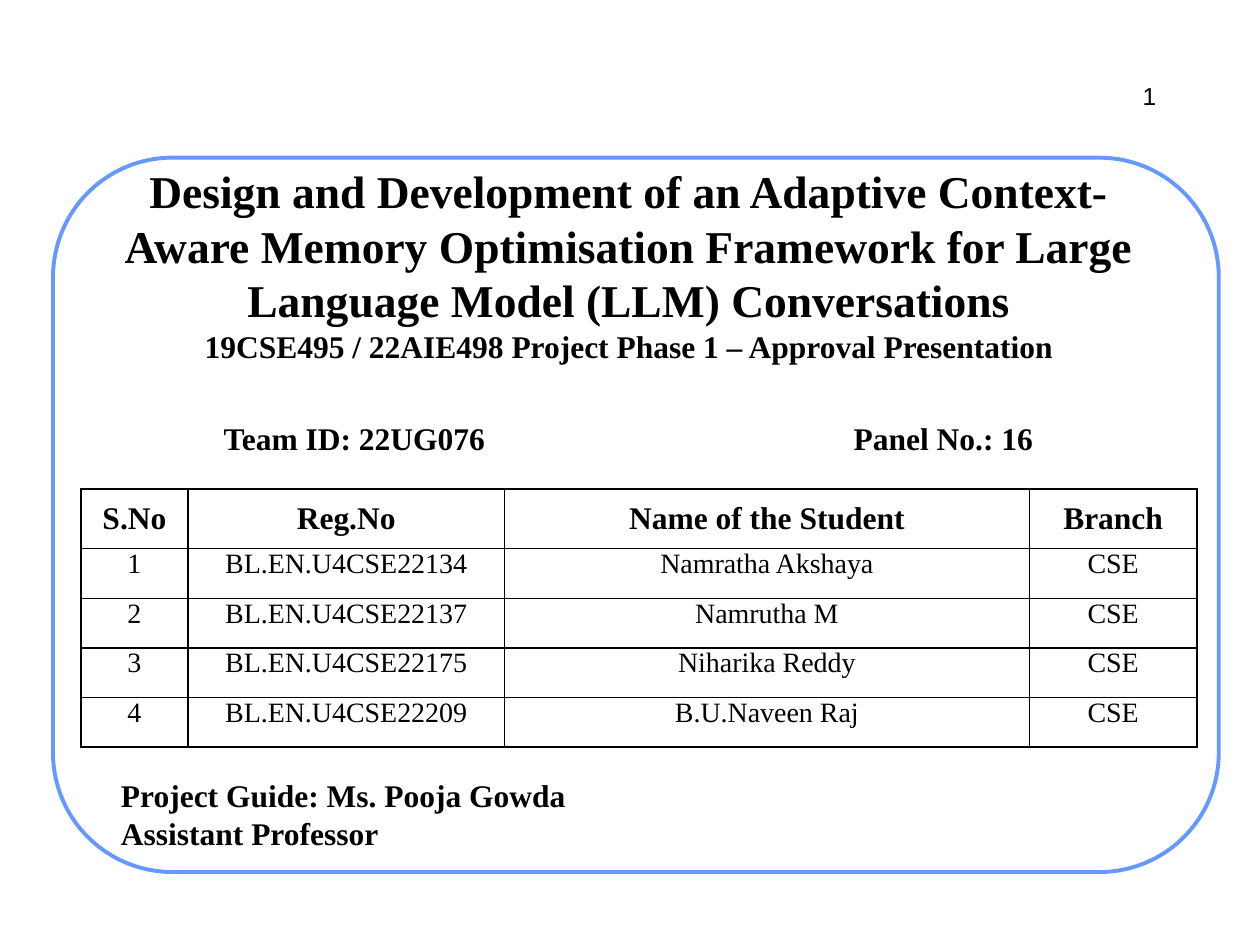
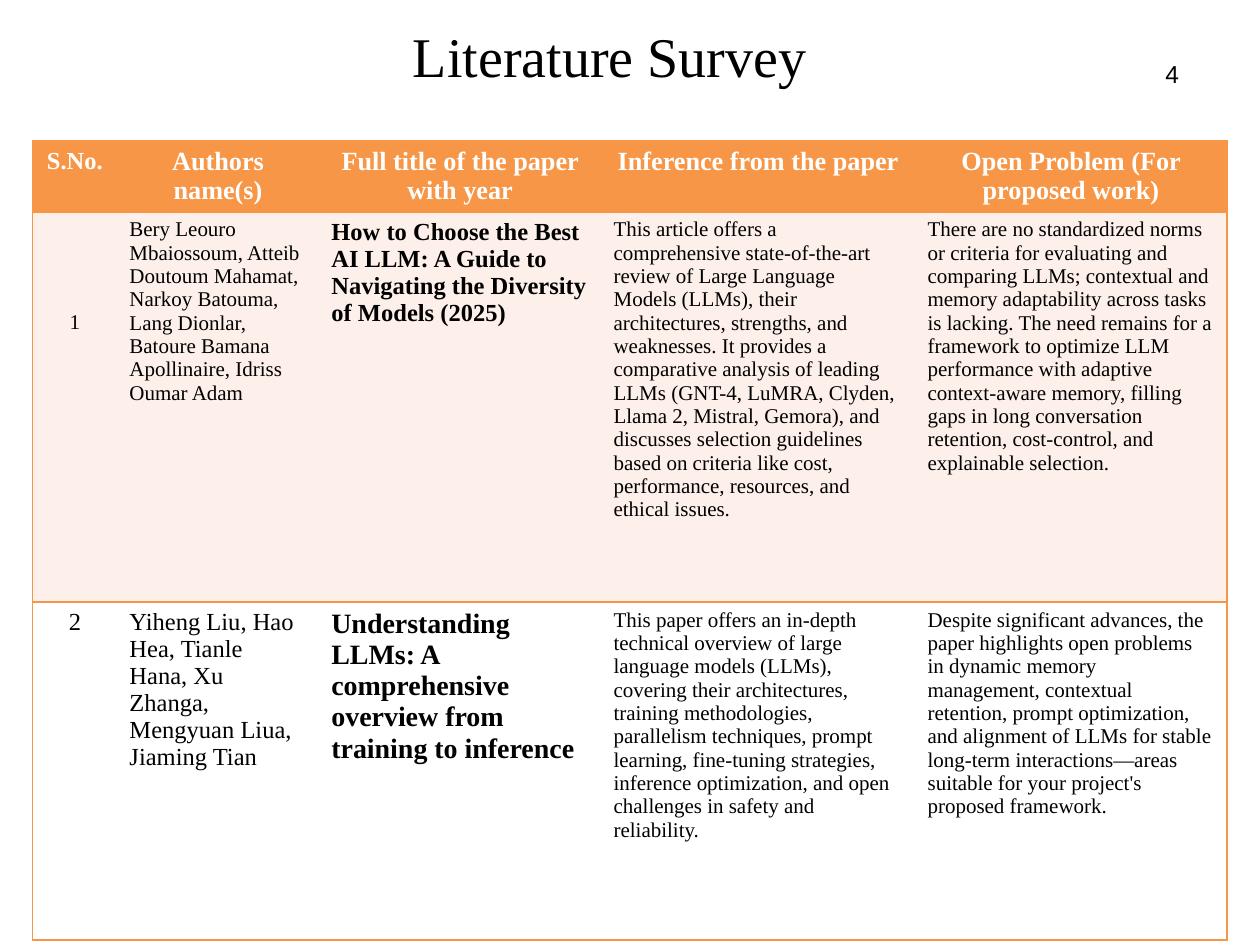
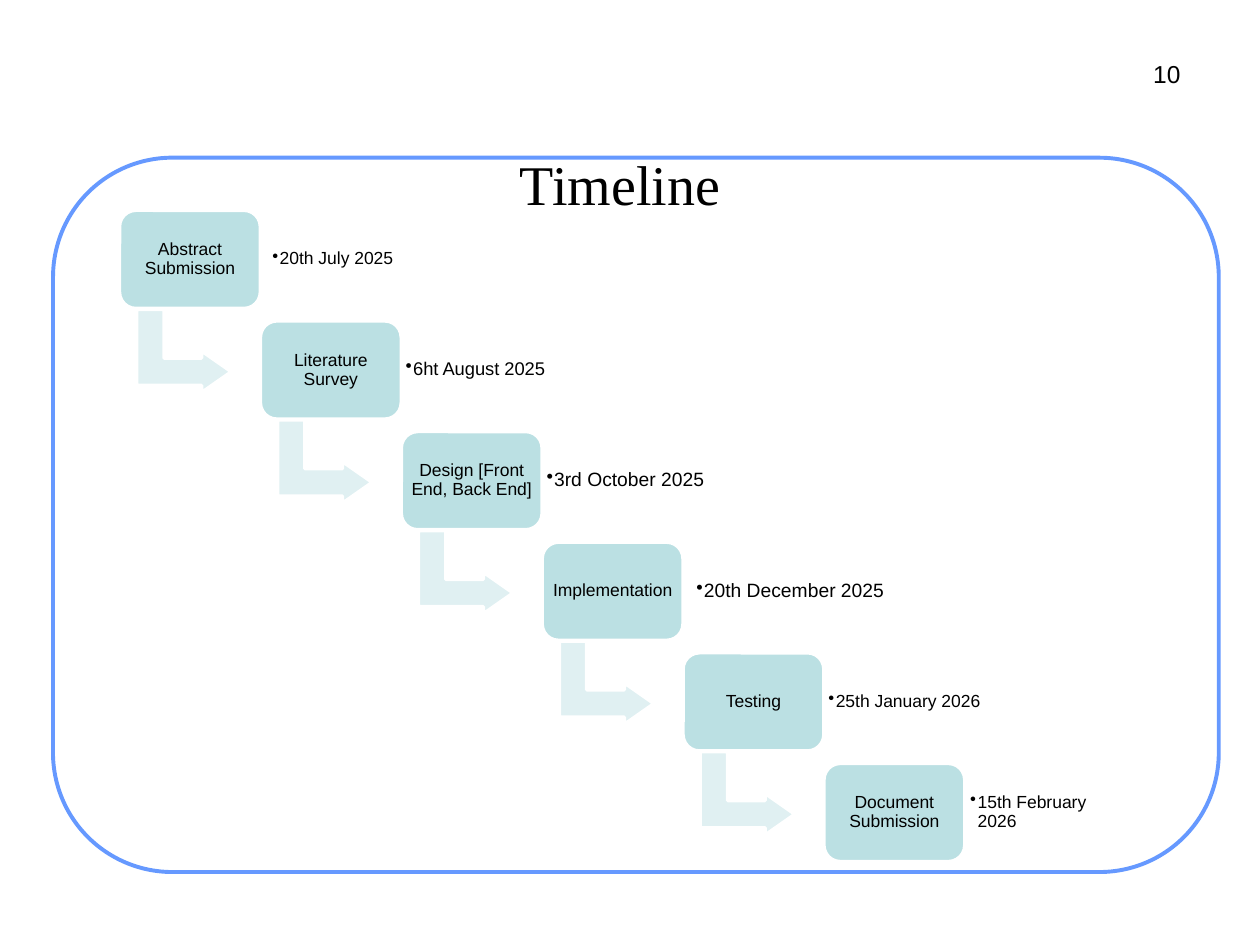
from dataclasses import dataclass

from lxml import etree
from pptx import Presentation
from pptx.dml.color import RGBColor
from pptx.enum.shapes import MSO_SHAPE
from pptx.enum.text import MSO_ANCHOR, MSO_AUTO_SIZE, PP_ALIGN
from pptx.oxml.ns import qn
from pptx.util import Cm, Pt

ROUNDED, BENT_ARROW = MSO_SHAPE.ROUNDED_RECTANGLE, MSO_SHAPE.BENT_UP_ARROW
TOP, MIDDLE = MSO_ANCHOR.TOP, MSO_ANCHOR.MIDDLE
LEFT, CENTER, RIGHT = PP_ALIGN.LEFT, PP_ALIGN.CENTER, PP_ALIGN.RIGHT
NO_AUTOFIT = MSO_AUTO_SIZE.NONE

SERIF, SANS = "Times New Roman", "Arial"
BLACK, WHITE, FRAME_BLUE = "000000", "FFFFFF", "6699FF"
ORANGE, PALE_ORANGE = "F79646", "FDEFE9"
TEAL, PALE_TEAL = "BBE0E3", "E0F0F2"
INSET = 0.13
TITLE_ONLY = 5


@dataclass(frozen=True)
class Box:
    left: float
    top: float
    width: float
    height: float

    def lengths(self) -> list:
        return [Cm(value) for value in (self.left, self.top, self.width, self.height)]


@dataclass(frozen=True)
class Line:
    text: str
    size: float
    bold: bool = False
    font: str = SERIF
    color: str = BLACK
    align: PP_ALIGN = LEFT
    before: float = 0
    spacing: float = 1.0
    bullet: float = 0
    tabs: tuple = ()


@dataclass(frozen=True)
class CellLook:
    fill: str
    border: str
    sides: str
    margins: tuple
    anchor: MSO_ANCHOR = TOP


@dataclass(frozen=True)
class Step:
    label: str
    date: str
    size: float
    offset: float
    width: float


def rgb(value: str) -> RGBColor:
    return RGBColor.from_string(value)


def apply(target, values: dict) -> None:
    for name, value in values.items():
        setattr(target, name, value)


# Text
def write(frame, lines: list, anchor=TOP, inset: float | None = INSET) -> None:
    if inset is not None:
        apply(frame, dict.fromkeys(
            ("margin_left", "margin_top", "margin_right", "margin_bottom"), Cm(inset)))
        apply(frame, {"word_wrap": True, "auto_size": NO_AUTOFIT, "vertical_anchor": anchor})
    for index, line in enumerate(lines):
        paragraph = frame.add_paragraph() if index else frame.paragraphs[0]
        properties = paragraph._p.get_or_add_pPr()
        if line.bullet:
            properties.set("marL", str(Cm(line.bullet)))
            properties.set("indent", str(-Cm(line.bullet)))
            etree.SubElement(properties, qn("a:buChar")).set("char", "•")
        if line.tabs:
            tab_list = etree.SubElement(properties, qn("a:tabLst"))
            for position in line.tabs:
                tab = etree.SubElement(tab_list, qn("a:tab"))
                tab.set("pos", str(Cm(position)))
                tab.set("algn", "l")
        apply(paragraph, {"alignment": line.align, "line_spacing": line.spacing,
                          "space_before": Pt(line.before)})
        run = paragraph.add_run()
        run.text = line.text
        apply(run.font, {"name": line.font, "size": Pt(line.size), "bold": line.bold})
        run.font.color.rgb = rgb(line.color)


def add_text(slide, box: Box, lines: list, anchor=TOP, inset: float = INSET) -> None:
    write(slide.shapes.add_textbox(*box.lengths()).text_frame, lines, anchor, inset)


# Shapes
def add_shape(slide, kind, box: Box, fill: str, line: str, weight: float,
              adjustments: tuple = (0.167,)):
    shape = slide.shapes.add_shape(kind, *box.lengths())
    shape.shadow.inherit = False
    shape.fill.solid()
    shape.fill.fore_color.rgb = rgb(fill)
    shape.line.color.rgb = rgb(line)
    shape.line.width = Pt(weight)
    for index, value in enumerate(adjustments):
        shape.adjustments[index] = value
    return shape


# Parts shared by the slides
def start_slide(presentation, title_box: Box, title_lines: list, number: str,
                number_box: Box, framed: bool = True):
    slide = presentation.slides.add_slide(presentation.slide_layouts[TITLE_ONLY])
    title = slide.shapes.title
    apply(title, dict(zip(("left", "top", "width", "height"), title_box.lengths())))
    write(title.text_frame, title_lines, MIDDLE)
    if framed:
        frame = add_shape(slide, ROUNDED, Box(1.07, 3.18, 23.5, 14.4), WHITE, FRAME_BLUE, 2.25)
        title.element.addprevious(frame.element)
    add_text(slide, number_box, [Line(number, 14, font=SANS, align=RIGHT)])
    return slide


# Tables
def add_table(slide, box: Box, widths: list, heights: list):
    table = slide.shapes.add_table(len(heights), len(widths), *box.lengths()).table
    apply(table, {"first_row": False, "horz_banding": False})
    for column, width in zip(table.columns, widths):
        column.width = Cm(width)
    for row, height in zip(table.rows, heights):
        row.height = Cm(height)
    return table


def fill_cell(cell, line: Line, look: CellLook) -> None:
    names = ("margin_left", "margin_top", "margin_right", "margin_bottom")
    apply(cell, dict(zip(names, map(Cm, look.margins))))
    cell.vertical_anchor = look.anchor
    if look.fill:
        cell.fill.solid()
        cell.fill.fore_color.rgb = rgb(look.fill)
    else:
        cell.fill.background()
    properties = cell._tc.get_or_add_tcPr()
    for index, side in enumerate("LRTB"):
        border = etree.Element(qn(f"a:ln{side}"), w=str(Pt(1)))
        if side in look.sides:
            paint = etree.SubElement(border, qn("a:solidFill"))
            etree.SubElement(paint, qn("a:srgbClr")).set("val", look.border)
        else:
            etree.SubElement(border, qn("a:noFill"))
        properties.insert(index, border)
    write(cell.text_frame, [line], inset=None)


# Slide 1: project and team
STUDENTS = [
    ("S.No", "Reg.No", "Name of the Student", "Branch"),
    ("1", "BL.EN.U4CSE22134", "Namratha Akshaya", "CSE"),
    ("2", "BL.EN.U4CSE22137", "Namrutha M", "CSE"),
    ("3", "BL.EN.U4CSE22175", "Niharika Reddy", "CSE"),
    ("4", "BL.EN.U4CSE22209", "B.U.Naveen Raj", "CSE"),
]


def build_project(presentation) -> None:
    title = [
        Line("Design and Development of an Adaptive Context-Aware Memory Optimisation "
             "Framework for Large Language Model (LLM) Conversations", 26, True, align=CENTER),
        Line("19CSE495 / 22AIE498 Project Phase 1 – Approval Presentation", 18, True,
             align=CENTER),
        Line("\tTeam ID: 22UG076\tPanel No.: 16", 18, True, before=31, tabs=(2.4, 15.1)),
    ]
    slide = start_slide(presentation, Box(1.98, 3.6, 21.4, 5.3), title,
                        "1", Box(22.54, 1.5, 0.9, 1.22))
    table = add_table(slide, Box(1.63, 9.86, 22.5, 5.2),
                      [2.16, 6.38, 10.58, 3.38], [1.2] + [1.0] * 4)
    for row, values in enumerate(STUDENTS):
        header = row == 0
        look = CellLook("", BLACK, "LRTB", (0, 0, 0, 0), MIDDLE if header else TOP)
        for column, text in enumerate(values):
            fill_cell(table.cell(row, column),
                      Line(text, 18 if header else 16, header, align=CENTER), look)
    add_text(slide, Box(2.31, 15.52, 13.39, 1.8),
             [Line(text, 18, True)
              for text in ("Project Guide: Ms. Pooja Gowda", "Assistant Professor")])


# Slide 2: literature survey
PAPERS = [
    ("S.No.", "Authors name(s)", "Full title of the paper with year",
     "Inference from the paper", "Open Problem (For proposed work)"),
    ("1",
     "Bery Leouro Mbaiossoum, Atteib Doutoum Mahamat, Narkoy Batouma, Lang Dionlar, "
     "Batoure Bamana Apollinaire, Idriss Oumar Adam",
     "How to Choose the Best AI LLM: A Guide to Navigating the Diversity of Models (2025)",
     "This article offers a comprehensive state-of-the-art review of Large Language Models "
     "(LLMs), their architectures, strengths, and weaknesses. It provides a comparative "
     "analysis of leading LLMs (GNT-4, LuMRA, Clyden, Llama 2, Mistral, Gemora), and discusses "
     "selection guidelines based on criteria like cost, performance, resources, and ethical "
     "issues.",
     "There are no standardized norms or criteria for evaluating and comparing LLMs; "
     "contextual and memory adaptability across tasks is lacking. The need remains for a "
     "framework to optimize LLM performance with adaptive context-aware memory, filling gaps "
     "in long conversation retention, cost-control, and explainable selection."),
    ("2",
     "Yiheng Liu, Hao Hea, Tianle Hana, Xu Zhanga, Mengyuan Liua, Jiaming Tian",
     "Understanding LLMs: A comprehensive overview from training to inference",
     "This paper offers an in-depth technical overview of large language models (LLMs), "
     "covering their architectures, training methodologies, parallelism techniques, prompt "
     "learning, fine-tuning strategies, inference optimization, and open challenges in safety "
     "and reliability.",
     "Despite significant advances, the paper highlights open problems in dynamic memory "
     "management, contextual retention, prompt optimization, and alignment of LLMs for stable "
     "long-term interactions—areas suitable for your project's proposed framework."),
]
PAPER_SIZES = [(14, 15, 15, 15, 15), (12, 12, 14, 12, 12), (14, 14, 16, 12, 12)]
PAPER_FILLS = [ORANGE, PALE_ORANGE, WHITE]
TITLE_COLUMN = 2


def build_survey(presentation) -> None:
    slide = start_slide(presentation, Box(2.77, 0, 19.05, 2.24),
                        [Line("Literature Survey", 32, align=CENTER)],
                        "4", Box(23.0, 1.07, 0.9, 0.81), framed=False)
    table = add_table(slide, Box(0.66, 2.84, 24.08, 16.08),
                      [1.7, 4.07, 5.69, 6.33, 6.28], [1.4, 7.87, 6.81])
    for row, values in enumerate(PAPERS):
        header = row == 0
        for column, text in enumerate(values):
            sides = "TB" + {0: "L", len(values) - 1: "R"}.get(column, "")
            top = 2.0 if (row, column) == (1, 0) else 0.13
            line = Line(text, PAPER_SIZES[row][column], header or column == TITLE_COLUMN,
                        color=WHITE if header else BLACK,
                        align=CENTER if header or column == 0 else LEFT)
            fill_cell(table.cell(row, column), line,
                      CellLook(PAPER_FILLS[row], ORANGE, sides, (0.25, top, 0.25, 0.13)))


# Slide 3: timeline staircase
STEPS = [
    Step("Abstract Submission", "20th July 2025", 10, 2.97, 4.11),
    Step("Literature Survey", "6ht August 2025", 10.5, 2.82, 5.05),
    Step("Design [Front End, Back End]", "3rd October 2025", 11, 2.82, 4.6),
    Step("Implementation", "20th December 2025", 11, 3.0, 4.47),
    Step("Testing", "25th January 2026", 10, 2.82, 4.34),
    Step("Document Submission", "15th February 2026", 10, 2.84, 3.05),
]
FIRST_LEFT, FIRST_TOP = 2.41, 4.24
STEP_RIGHT, STEP_DOWN = 2.84, 2.23


def build_timeline(presentation) -> None:
    slide = start_slide(presentation, Box(1.07, 2.67, 22.86, 2.06),
                        [Line("Timeline", 32, align=CENTER)],
                        "10", Box(23.03, 1.07, 0.9, 0.81))
    for index, step in enumerate(STEPS):
        left = FIRST_LEFT + index * STEP_RIGHT
        top = FIRST_TOP + index * STEP_DOWN
        if index < len(STEPS) - 1:
            arrow = add_shape(slide, BENT_ARROW, Box(left + 0.46, top + 1.88, 1.68, 1.91),
                              PALE_TEAL, WHITE, 2, (0.328, 0.25, 0.358))
            arrow.rotation = 90
        block = add_shape(slide, ROUNDED, Box(left, top, 2.84, 1.98), TEAL, WHITE, 2)
        write(block.text_frame,
              [Line(step.label, 10, font=SANS, align=CENTER, spacing=0.9)], MIDDLE, 0.1)
        add_text(slide, Box(left + step.offset, top + 0.18, step.width, 1.6),
                 [Line(step.date, step.size, font=SANS, spacing=0.9, bullet=0.15)],
                 MIDDLE, 0.11)


def main() -> None:
    presentation = Presentation()
    apply(presentation, {"slide_width": Cm(25.4), "slide_height": Cm(19.05)})
    for build in (build_project, build_survey, build_timeline):
        build(presentation)
    presentation.save("out.pptx")


if __name__ == "__main__":
    main()
